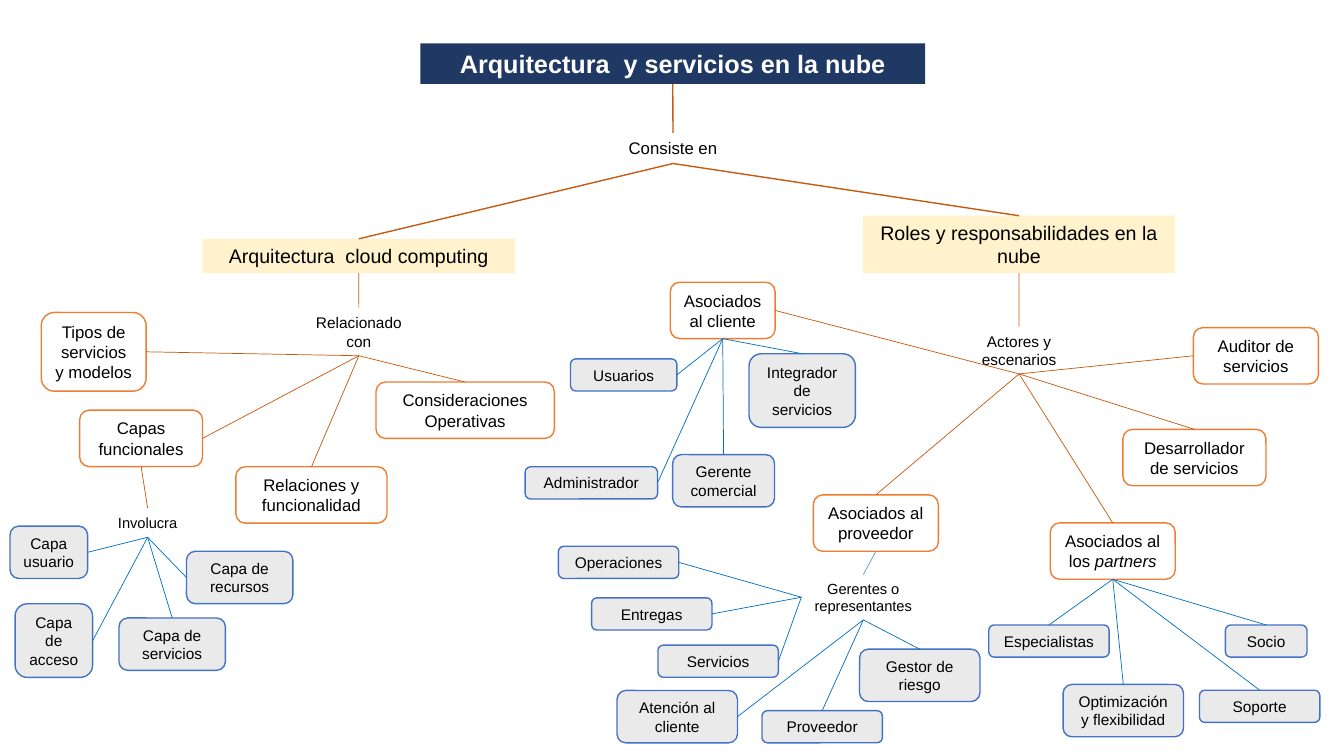
from dataclasses import dataclass

from lxml import etree
from pptx import Presentation
from pptx.dml.color import RGBColor
from pptx.enum.shapes import MSO_CONNECTOR, MSO_SHAPE
from pptx.enum.text import MSO_ANCHOR, PP_ALIGN
from pptx.oxml.ns import qn
from pptx.util import Pt

RECTANGLE = MSO_SHAPE.RECTANGLE
ROUNDED = MSO_SHAPE.ROUNDED_RECTANGLE
STRAIGHT = MSO_CONNECTOR.STRAIGHT
CENTER = PP_ALIGN.CENTER
MIDDLE = MSO_ANCHOR.MIDDLE
TOP, LEFT, BOTTOM, RIGHT = range(4)

FONT = "Arial"
BLACK, WHITE = "000000", "FFFFFF"
RUST, BLUE, LIGHT_BLUE = "C55A11", "0070C0", "5B9BD5"
ONE_LINE, TWO_LINES, THREE_LINES = 23, 37.4, 52.6
TOPIC_HEIGHT = 40.3


@dataclass(frozen=True)
class Style:
    size: float
    fill: str | None = None
    border: str | None = None
    color: str = BLACK
    bold: bool = False


@dataclass(frozen=True)
class Node:
    text: str
    left: float
    top: float
    width: float
    height: float
    style: Style
    italic_ending: str = ""


@dataclass(frozen=True)
class Branch:
    parent: str
    side: int
    children: dict[str, int]
    color: str = RUST
    weight: float = 0.5


TITLE = Style(18, "203864", color=WHITE, bold=True)
THEME = Style(14, "FFF2CC")
TOPIC = Style(12, WHITE, "ED7D31")
DETAIL = Style(11, "EAEAEA", "4472C4")
MAIN_LINK, LINK, SMALL_LINK = Style(12), Style(11), Style(10.5)

NODES = [
    Node("Arquitectura  y servicios en la nube", 300.2, 31, 360.7, 29, TITLE),
    Node("Arquitectura  cloud computing", 144.7, 170.6, 223.2, 24.5, THEME),
    Node("Roles y responsabilidades en la nube", 616.3, 154.1, 223.2, 41, THEME),
    Node("Consiste en", 435.4, 95, 90.7, 21.8, MAIN_LINK),
    Node("Relacionado con", 211, 220.3, 90.7, 33.8, LINK),
    Node("Actores y escenarios", 682.6, 233.3, 90.7, 33.8, LINK),
    Node("Involucra", 73.4, 362.9, 64.1, 20.9, SMALL_LINK),
    Node("Gerentes o representantes", 572.4, 410.4, 88.6, 32.4, SMALL_LINK),
    Node("Tipos de servicios y modelos", 29.5, 223.2, 74.9, 56.2, TOPIC),
    Node("Capas funcionales", 56.9, 293, 87.8, TOPIC_HEIGHT, TOPIC),
    Node("Relaciones y funcionalidad", 168.5, 333.4, 108, TOPIC_HEIGHT, TOPIC),
    Node("Consideraciones Operativas", 268.6, 272.9, 127.4, TOPIC_HEIGHT, TOPIC),
    Node("Asociados al cliente", 478.8, 201.6, 74.9, TOPIC_HEIGHT, TOPIC),
    Node("Asociados al proveedor", 581, 353.5, 89.3, TOPIC_HEIGHT, TOPIC),
    Node("Asociados al los ", 750.2, 373.5, 89.3, TOPIC_HEIGHT, TOPIC, "partners"),
    Node("Desarrollador de servicios", 802.1, 306.7, 102.2, TOPIC_HEIGHT, TOPIC),
    Node("Auditor de servicios", 852.5, 234, 89.3, TOPIC_HEIGHT, TOPIC),
    Node("Capa usuario", 7.2, 375.8, 55.4, TWO_LINES, DETAIL),
    Node("Capa de acceso", 10.8, 431.3, 55.4, THREE_LINES, DETAIL),
    Node("Capa de servicios", 85, 441.4, 76, TWO_LINES, DETAIL),
    Node("Capa de recursos", 133.2, 393.8, 76, TWO_LINES, DETAIL),
    Node("Usuarios", 407.5, 256.3, 76, ONE_LINE, DETAIL),
    Node("Administrador", 375.1, 333.4, 94.6, ONE_LINE, DETAIL),
    Node("Gerente comercial", 480.5, 324.7, 72.7, TWO_LINES, DETAIL),
    Node("Integrador de servicios", 535, 252.7, 76, THREE_LINES, DETAIL),
    Node("Operaciones", 398.9, 390.2, 86, ONE_LINE, DETAIL),
    Node("Entregas", 422.6, 427, 86, ONE_LINE, DETAIL),
    Node("Servicios", 470, 460.8, 86, ONE_LINE, DETAIL),
    Node("Atención al cliente", 440.8, 493.2, 86, TWO_LINES, DETAIL),
    Node("Proveedor", 544.3, 507.6, 86, ONE_LINE, DETAIL),
    Node("Gestor de riesgo", 614, 463.7, 86, TWO_LINES, DETAIL),
    Node("Especialistas", 706.3, 446.4, 86, ONE_LINE, DETAIL),
    Node("Socio", 875.3, 446.4, 58.3, ONE_LINE, DETAIL),
    Node("Optimización y flexibilidad", 759.4, 488.9, 86, TWO_LINES, DETAIL),
    Node("Soporte", 856.8, 493, 86, ONE_LINE, DETAIL),
]

BRANCHES = [
    Branch("Arquitectura  y servicios en la nube", BOTTOM,
           {"Consiste en": TOP}, weight=1),
    Branch("Consiste en", BOTTOM,
           {"Arquitectura  cloud computing": TOP,
            "Roles y responsabilidades en la nube": TOP}, weight=1),
    Branch("Arquitectura  cloud computing", BOTTOM, {"Relacionado con": TOP}),
    Branch("Relacionado con", BOTTOM,
           {"Tipos de servicios y modelos": RIGHT, "Capas funcionales": RIGHT,
            "Relaciones y funcionalidad": TOP, "Consideraciones Operativas": TOP}),
    Branch("Roles y responsabilidades en la nube", BOTTOM,
           {"Actores y escenarios": TOP}),
    Branch("Actores y escenarios", BOTTOM,
           {"Asociados al cliente": RIGHT, "Asociados al proveedor": TOP,
            "Asociados al los ": TOP, "Desarrollador de servicios": TOP,
            "Auditor de servicios": LEFT}),
    Branch("Capas funcionales", BOTTOM, {"Involucra": TOP}),
    Branch("Involucra", BOTTOM,
           {"Capa usuario": RIGHT, "Capa de acceso": RIGHT,
            "Capa de servicios": TOP, "Capa de recursos": LEFT}, BLUE),
    Branch("Asociados al cliente", BOTTOM,
           {"Usuarios": RIGHT, "Administrador": RIGHT,
            "Gerente comercial": TOP, "Integrador de servicios": TOP}, BLUE),
    Branch("Asociados al proveedor", BOTTOM,
           {"Gerentes o representantes": TOP}, LIGHT_BLUE),
    Branch("Gerentes o representantes", LEFT,
           {"Operaciones": RIGHT, "Entregas": RIGHT, "Servicios": RIGHT}, BLUE),
    Branch("Gerentes o representantes", BOTTOM,
           {"Proveedor": TOP, "Atención al cliente": RIGHT,
            "Gestor de riesgo": TOP}, BLUE),
    Branch("Asociados al los ", BOTTOM,
           {"Especialistas": TOP, "Socio": TOP, "Soporte": TOP,
            "Optimización y flexibilidad": TOP}, BLUE),
]


def rgb(color: str) -> RGBColor:
    return RGBColor.from_string(color)


def add_run(paragraph, text: str, style: Style, italic: bool = False) -> None:
    run = paragraph.add_run()
    run.text = text
    run.font.name = FONT
    run.font.size = Pt(style.size)
    run.font.bold = style.bold
    run.font.italic = italic
    run.font.color.rgb = rgb(style.color)


def add_node(slide, node: Node):
    style = node.style
    box = [Pt(length) for length in (node.left, node.top, node.width, node.height)]
    if style.fill is None:
        shape = slide.shapes.add_textbox(*box)
    else:
        shape = slide.shapes.add_shape(ROUNDED if style.border else RECTANGLE, *box)
        shape.shadow.inherit = False
        shape.fill.solid()
        shape.fill.fore_color.rgb = rgb(style.fill)
        if style.border:
            shape.line.color.rgb = rgb(style.border)
            shape.line.width = Pt(1)
        else:
            shape.line.fill.background()
    frame = shape.text_frame
    frame.word_wrap = True
    frame.vertical_anchor = MIDDLE
    paragraph = frame.paragraphs[0]
    paragraph.alignment = CENTER
    add_run(paragraph, node.text, style)
    if node.italic_ending:
        add_run(paragraph, node.italic_ending, style, italic=True)
    return shape


def add_branch(slide, branch: Branch, shapes: dict) -> None:
    for child, side in branch.children.items():
        connector = slide.shapes.add_connector(STRAIGHT, 0, 0, 0, 0)
        connector.begin_connect(shapes[branch.parent], branch.side)
        connector.end_connect(shapes[child], side)
        connector.line.color.rgb = rgb(branch.color)
        connector.line.width = Pt(branch.weight)
        etree.SubElement(connector._element.spPr, qn("a:effectLst"))


presentation = Presentation()
presentation.slide_width = Pt(960)
presentation.slide_height = Pt(540)
slide = presentation.slides.add_slide(presentation.slide_layouts[6])
shapes = {node.text: add_node(slide, node) for node in NODES}
for branch in BRANCHES:
    add_branch(slide, branch, shapes)
presentation.save("out.pptx")
